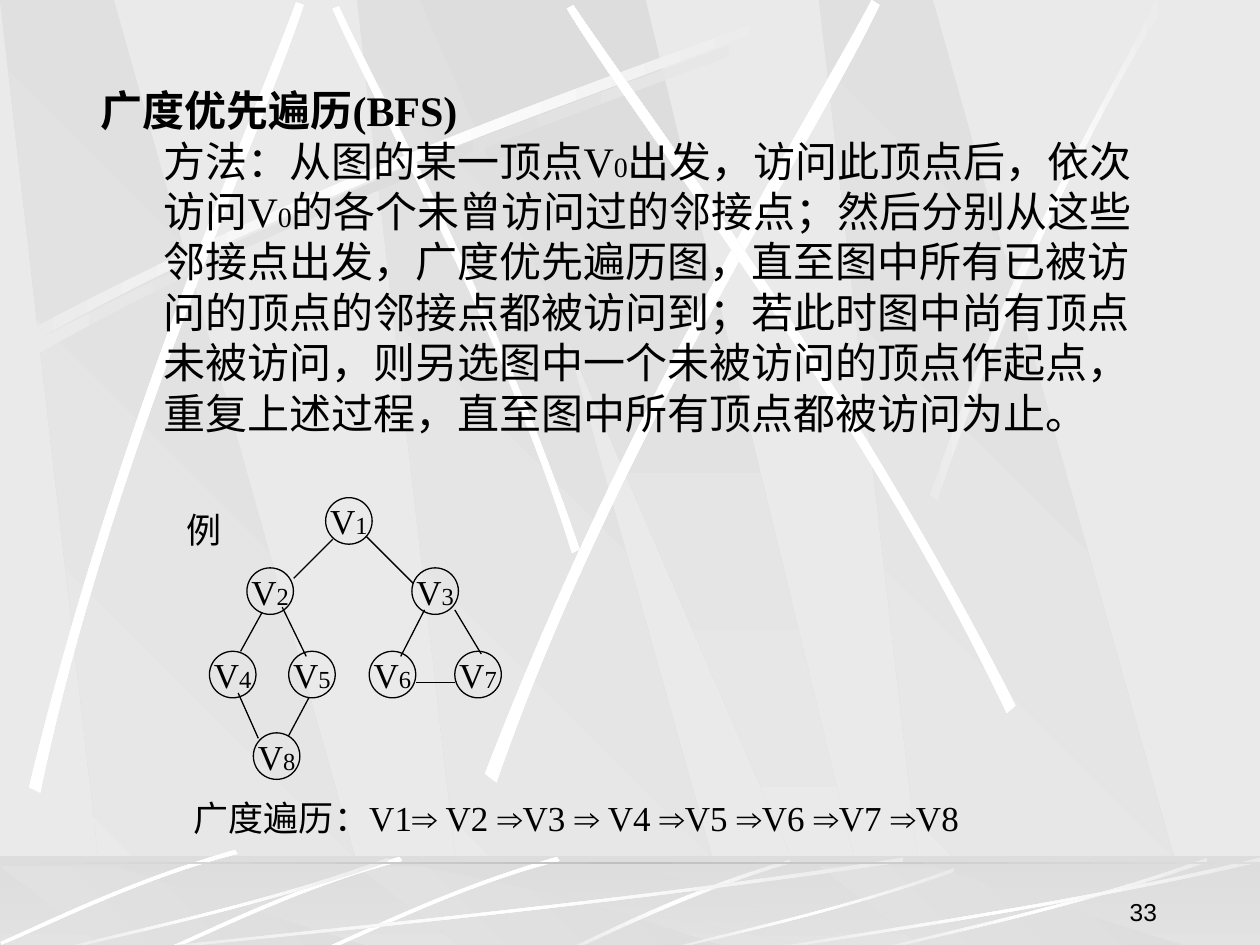
import math

from lxml import etree
from pptx import Presentation
from pptx.dml.color import RGBColor
from pptx.enum import shapes, text
from pptx.oxml import parse_xml
from pptx.oxml.ns import nsdecls, qn
from pptx.util import Pt

INK, PALE, SHADE, WHITE = "000000", "EAEAEA", "DDDDDD", "FFFFFF"
SERIF, SANS = "Times New Roman", "Arial"

PANEL = [(62, 1), (217, 1), (65, 0), (0, 0)]
WIDE_PANEL = [(0, 0), (234, 1), (260, 1), (129, 0)]

BEAM = [(14.4, 198), (204.5, 96.5), (377.3, 42.5), (450.7, 13),
        (452.9, 17.3), (380.2, 49.7), (182.9, 108.7), (16.6, 205.2)]
TILTED_STREAKS = [
    [(331.2, 313.9), (281.5, 168.5), (217.4, 55.4), (193.7, 3.6),
     (190.1, 5), (212.4, 56.9), (286.6, 185.8), (326.9, 316.1)],
    [(16.6, 450), (67, 240.5), (141.8, 75.6), (169.2, 1.4),
     (173.5, 2.9), (149, 77.8), (61.9, 265), (23, 452.9)],
    [(277.2, 442.1), (358.6, 230.4), (459.4, 73.4), (498.2, 0),
     (502.6, 2.9), (467.3, 77.8), (349.9, 255.6), (283.7, 447.1)],
    [(580.3, 403.2), (482.4, 211), (371.5, 68.4), (327.6, 2.9),
     (324, 5), (365, 72.7), (493.2, 234), (575.3, 407.5)],
]
CORNER_STREAK = [(531.4, 283), (586.1, 124.6), (639.4, 47.5), (660.2, 0),
                 (667.4, 0), (601.9, 104.4), (553.7, 231.8), (535.7, 285.8)]
FLOOR_BEAM = [(451.4, 2.2), (386.6, 21.6), (343.4, 45.4), (322.6, 54),
              (326.2, 54.7), (352.8, 41.8), (411.1, 15.1), (452.2, 4.3)]
FLOOR_STREAK = [(318.2, 0.7), (255.6, 18.7), (206.6, 43.9), (184.3, 53.3),
                (185, 54.7), (207.4, 46.1), (262.8, 17.3), (319.7, 2.9)]
SWEEP = [(1, 0.05), (0.57, 0.57), (0.17, 0.85), (0.01, 1),
         (0, 0.99), (0.17, 0.81), (0.62, 0.51), (1, 0)]
SWEEP_BOXES = [(72, 1, 444, 54), (30, 1, 192, 54), (379, 7, 166, 47.5),
               (498, 1, 192, 54), (432, 1, 288, 54)]

VERTICES = {"1": (87.1, 0.4), "2": (42.1, 40.5), "4": (20.7, 88.2),
            "5": (66, 88.2), "3": (136.4, 40.5), "7": (160.9, 88.2),
            "6": (112, 88.2), "8": (45.8, 134.8)}
EDGES = [(91.1, 24.2, 68.8, 46.5), (110.5, 22.7, 137.2, 49.4),
         (50.8, 65.9, 38.5, 88.2), (62.3, 63, 76, 91.1),
         (37.1, 112, 48.6, 137.9), (77.4, 114.9, 65.9, 136.5),
         (143.6, 64.5, 130, 91.1), (138.6, 106.2, 160.9, 106.2),
         (160.9, 64.5, 176, 89.7)]

TITLE = "广度优先遍历(BFS)"
METHOD = [
    ("方法：从图的某一顶点V", 24), ("0", 16),
    ("出发，访问此顶点后，依次访问V", 24), ("0", 16),
    ("的各个未曾访问过的邻接点；然后分别从这些邻接点出发，广度优先遍历图，"
     "直至图中所有已被访问的顶点的邻接点都被访问到；若此时图中尚有顶点未被访问，"
     "则另选图中一个未被访问的顶点作起点，重复上述过程，"
     "直至图中所有顶点都被访问为止。", 24)]
VISITS = ["广度遍历：V1", " V2 ", "V3 ", " V4 ", "V5 ", "V6 ", "V7 ", "V8"]


def rgb(value):
    """Return the colour for a hex string."""
    return RGBColor.from_string(value)


def paint(shape, colours, angle):
    """Fill a shape with evenly spaced gradient colours and no outline."""
    step = 100000 // (len(colours) - 1)
    stops = "".join(f'<a:gs pos="{i * step}"><a:srgbClr val="{c}"/></a:gs>'
                    for i, c in enumerate(colours))
    shape.shadow.inherit = False
    shape.line.fill.background()
    shape._element.spPr[1].addnext(parse_xml(
        f'<a:gradFill {nsdecls("a")} rotWithShape="1"><a:gsLst>{stops}</a:gsLst>'
        f'<a:lin ang="{angle * 60000}" scaled="0"/></a:gradFill>'))


def outline(group, points, box):
    """Draw a closed outline whose points are scaled into the box."""
    left, top, width, height = box
    placed = [(Pt(left + x * width), Pt(top + y * height)) for x, y in points]
    builder = group.shapes.build_freeform(*placed[0], scale=1.0)
    builder.add_line_segments(placed[1:], close=True)
    return builder.convert_to_shape()


def streak(group, points, box, middle=WHITE, tilted=False):
    """Draw a band between two cubic curves, brightest in the middle."""
    band = outline(group, points, box)
    sides = list(band._element.iter(qn("a:lnTo")))
    for side in (sides[:3], sides[4:7]):
        cubic = etree.Element(qn("a:cubicBezTo"))
        side[0].addprevious(cubic)
        for line in side:
            cubic.append(line[0])
            line.getparent().remove(line)
    (x1, y1), (x2, y2) = points[0], points[3]
    across = round(math.degrees(math.atan2(y2 - y1, x2 - x1)) + 90) % 360
    paint(band, [PALE, middle, PALE], across if tilted else 0)


def panels(group, top, height):
    """Draw the four slanted panels of a wall or floor."""
    for left in (204, 0, 468):
        paint(outline(group, PANEL, (left, top, 1, height)), [SHADE, PALE], 135)
    paint(outline(group, WIDE_PANEL, (240, top, 1, height)), [SHADE, PALE], 90)


def bar(group, left, top, width, height):
    """Add a plain rectangle."""
    return group.shapes.add_shape(shapes.MSO_SHAPE.RECTANGLE,
                                  Pt(left), Pt(top), Pt(width), Pt(height))


def wall(group, left, top, height):
    """Draw the upper backdrop."""
    panels(group, top, height)
    box = (left, top, 1, 1)
    streak(group, BEAM, box, SHADE)
    streak(group, TILTED_STREAKS[0], box, tilted=True)
    streak(group, BEAM, (left - 4.3, top - 5.8, 1, 1))
    for points in TILTED_STREAKS[1:]:
        streak(group, points, box, tilted=True)
    streak(group, CORNER_STREAK, box)


def floor(group, left, top, width, height):
    """Draw the lower backdrop with its edge line."""
    paint(bar(group, left, top, width, height), [SHADE, PALE], 90)
    panels(group, top + 6, height - 6)
    veil = bar(group, left, top, width, height)
    veil.shadow.inherit = False
    veil.line.fill.background()
    veil.fill.solid()
    veil.fill.fore_color.rgb = rgb(SHADE)
    colour = veil._element.spPr.find(qn("a:solidFill"))[0]
    etree.SubElement(colour, qn("a:alpha"), val="50000")
    streak(group, FLOOR_BEAM, (left, top, 1, 1))
    for dx, dy in ((0, 0), (-90, 0), (-184, -4)):
        streak(group, FLOOR_STREAK, (left + dx, top + dy, 1, 1), tilted=True)
    for x, y, w, h in SWEEP_BOXES:
        streak(group, SWEEP, (left + x, top + y, w, h))
    paint(bar(group, left, top + 3.5, width, 1.5), [SHADE, "C0C0C0", SHADE], 0)


def backdrop(slide, master):
    """Draw wall and floor as one group and hand it to the master."""
    group = slide.shapes.add_group_shape()
    wall(group, 0, 0, 540)
    floor(group, 0, 489, 720, 54)
    for number, label in enumerate(group._element.iter(qn("p:cNvPr")), 100):
        label.set("id", str(number))
    master.shapes._spTree.insert(2, group._element)


def write(paragraph, pieces, align=text.PP_ALIGN.LEFT, bold=False):
    """Fill a paragraph with (words, size, font) runs."""
    paragraph.alignment = align
    for words, size, face in pieces:
        run = paragraph.add_run()
        run.text = words
        run.font.size, run.font.name, run.font.bold = Pt(size), face, bold
        run.font.color.rgb = rgb(INK)


def text_box(holder, left, top, width, height, anchor=text.MSO_ANCHOR.TOP, wrap=True):
    """Add a text box and return its frame."""
    frame = holder.shapes.add_textbox(Pt(left), Pt(top), Pt(width), Pt(height)).text_frame
    frame.word_wrap, frame.vertical_anchor = wrap, anchor
    return frame


def explanation(slide, left, top, width, height):
    """Write the heading and the indented method."""
    frame = text_box(slide, left, top, width, height)
    write(frame.paragraphs[0], [(TITLE, 24, SERIF)], bold=True)
    method = frame.add_paragraph()
    method.level = 1
    properties = method._p.get_or_add_pPr()
    properties.set("marL", str(Pt(36)))
    properties.set("indent", "0")
    write(method, [(words, size, SERIF) for words, size in METHOD])


def graph(slide, left, top, diameter=26.6):
    """Draw the example graph with its label as one group."""
    group = slide.shapes.add_group_shape()
    for number, (x, y) in VERTICES.items():
        vertex = group.shapes.add_shape(shapes.MSO_SHAPE.OVAL, Pt(left + x), Pt(top + y),
                                        Pt(diameter), Pt(diameter))
        vertex.shadow.inherit = False
        vertex.fill.background()
        vertex.line.color.rgb, vertex.line.width = rgb(INK), Pt(0.75)
        frame = vertex.text_frame
        frame.word_wrap, frame.vertical_anchor = False, text.MSO_ANCHOR.MIDDLE
        write(frame.paragraphs[0], [("V", 20, SERIF), (number, 14, SERIF)],
              text.PP_ALIGN.CENTER)
    for x1, y1, x2, y2 in EDGES:
        edge = group.shapes.add_connector(shapes.MSO_CONNECTOR.STRAIGHT, Pt(left + x1),
                                          Pt(top + y1), Pt(left + x2), Pt(top + y2))
        edge.line.color.rgb, edge.line.width = rgb(INK), Pt(0.75)
        etree.SubElement(edge._element.spPr, qn("a:effectLst"))
    example = text_box(group, left + 0.4, top + 2.9, 34.6, 31.7,
                       text.MSO_ANCHOR.MIDDLE, wrap=False)
    write(example.paragraphs[0], [("例", 20, SERIF)], text.PP_ALIGN.CENTER)


def traversal(slide, left, top, width, height):
    """Write the visiting order joined by arrows."""
    frame = text_box(slide, left, top, width, height, wrap=False)
    pieces = [piece for visit in VISITS for piece in (("⇒", 20, SANS), (visit, 20, SERIF))]
    write(frame.paragraphs[0], pieces[1:])


def page_number(slide, left, top, width, height):
    """Write the page number."""
    frame = text_box(slide, left, top, width, height, text.MSO_ANCHOR.BOTTOM)
    write(frame.paragraphs[0], [("33", 14, SANS)], text.PP_ALIGN.RIGHT)


def main():
    """Build and save the slide."""
    deck = Presentation()
    deck.slide_width, deck.slide_height = Pt(720), Pt(540)
    slide = deck.slides.add_slide(deck.slide_layouts[6])
    slide.background.fill.solid()
    slide.background.fill.fore_color.rgb = rgb(PALE)
    backdrop(slide, deck.slide_master)
    explanation(slide, 50.4, 44.9, 621.4, 218.9)
    graph(slide, 99, 284)
    traversal(slide, 103.7, 451.4, 467.3, 31.7)
    page_number(slide, 518.4, 496.8, 149.8, 36)
    deck.save("out.pptx")


if __name__ == "__main__":
    main()
